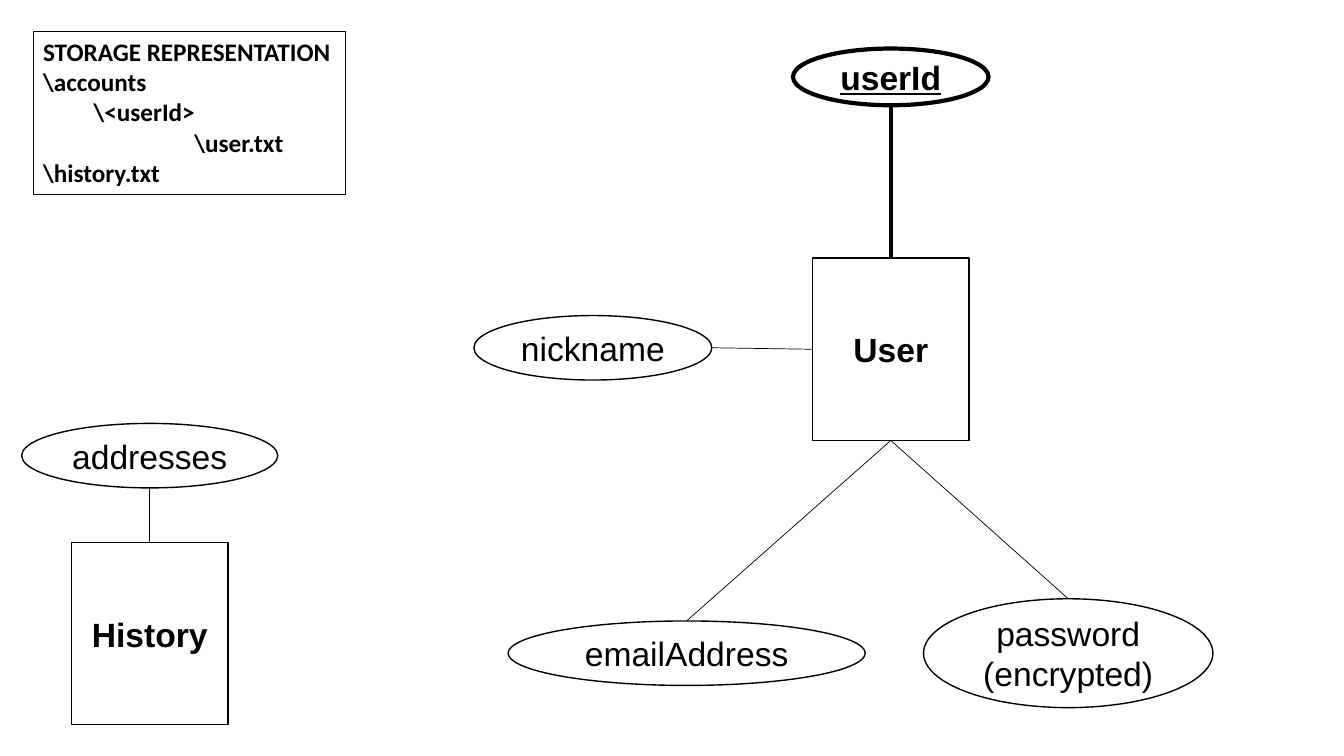
from typing import NamedTuple

import pptx
import pptx.dml.color
import pptx.enum.shapes
import pptx.enum.text
import pptx.oxml
import pptx.util

WIDE = pptx.util.Inches(13.33)
HIGH = pptx.util.Inches(7.5)
HUES = {"ink": "000000", "paper": "FFFFFF"}
KINDS = pptx.enum.shapes.MSO_SHAPE
SIDES = {"top": (0, -0.5), "bottom": (0, 0.5), "left": (-0.5, 0), "right": (0.5, 0)}


class Node(NamedTuple):
    """Entity or field: centre and size as percent of the slide."""
    text: str
    mid: float
    row: float
    wide: float
    high: float
    entity: bool = False
    key: bool = False


class Link(NamedTuple):
    """Line between named sides of two nodes."""
    head: str
    start: str
    tail: str
    end: str
    weight: float = 0.5


class Entry(NamedTuple):
    """Line of the storage tree with its indent level."""
    text: str
    level: int = 0


BOX = (11.63, 24.13)
LOW = 8.53
USER, PAST = 66.28, 11.14
NODES = {
    "user": Node("User", USER, 46.2, *BOX, entity=True),
    "past": Node("History", PAST, 83.8, *BOX, entity=True),
    "id": Node("userId", USER, 10.17, 14.55, 7.5, key=True),
    "nick": Node("nickname", 44.11, 46, 17.7, LOW),
    "email": Node("emailAddress", 51.09, 86.4, 26.56, LOW),
    "pass": Node("password (encrypted)", 79.48, 86.4, 21.53, 14.4),
    "addr": Node("addresses", PAST, 60.27, 19.05, LOW),
}
LINKS = [
    Link("user", "top", "id", "bottom", 3),
    Link("user", "left", "nick", "right"),
    Link("user", "bottom", "email", "top"),
    Link("user", "bottom", "pass", "top"),
    Link("past", "top", "addr", "bottom"),
]
STORE = Node("", 14.1, 14.93, 23.26, 21.6)
TREE = [
    Entry("STORAGE REPRESENTATION"),
    Entry("\\accounts"),
    Entry("\\<userId>", 1),
    Entry("\\user.txt", 3),
    Entry("\\history.txt"),
]


def hue(name: str) -> pptx.dml.color.RGBColor:
    """Look up a colour."""
    return pptx.dml.color.RGBColor.from_string(HUES[name])


def spot(node: Node, right: float, down: float) -> tuple[int, int]:
    """Find a point offset from a node's centre by shares of its size."""
    return (round((node.mid + right * node.wide) / 100 * WIDE),
            round((node.row + down * node.high) / 100 * HIGH))


def frame(node: Node) -> tuple[int, int, int, int]:
    """Give left, top, width and height of a node."""
    return (*spot(node, -0.5, -0.5),
            round(node.wide / 100 * WIDE), round(node.high / 100 * HIGH))


def ink(line, weight: float) -> None:
    """Set colour and weight of a line."""
    line.color.rgb = hue("ink")
    line.width = pptx.util.Pt(weight)


def style(font, face: str, size: int, bold: bool) -> None:
    """Set the font of a paragraph."""
    font.name, font.size, font.bold = face, pptx.util.Pt(size), bold
    font.color.rgb = hue("ink")


def draw(slide, node: Node) -> None:
    """Draw an entity box or a field oval."""
    kind = KINDS.RECTANGLE if node.entity else KINDS.OVAL
    shape = slide.shapes.add_shape(kind, *frame(node))
    shape.shadow.inherit = False
    shape.fill.solid()
    shape.fill.fore_color.rgb = hue("paper")
    ink(shape.line, 3 if node.key else 1)
    text = shape.text_frame
    text.text = node.text
    text.word_wrap = True
    text.vertical_anchor = pptx.enum.text.MSO_ANCHOR.MIDDLE
    para = text.paragraphs[0]
    para.alignment = pptx.enum.text.PP_ALIGN.CENTER
    style(para.font, "Arial", 24, node.entity or node.key)
    if node.key:
        para.runs[0].font.underline = True


def join(slide, link: Link) -> None:
    """Draw a line from one node to another."""
    start = spot(NODES[link.head], *SIDES[link.start])
    end = spot(NODES[link.tail], *SIDES[link.end])
    line = slide.shapes.add_connector(
        pptx.enum.shapes.MSO_CONNECTOR.STRAIGHT, *start, *end)
    ink(line.line, link.weight)
    line._element.spPr.append(pptx.oxml.parse_xml(
        '<a:effectLst xmlns:a="http://schemas.openxmlformats.org/drawingml/2006/main"/>'))


def tree(slide) -> None:
    """Write the storage tree in its frame."""
    box = slide.shapes.add_textbox(*frame(STORE))
    ink(box.line, 0.75)
    text = box.text_frame
    text.word_wrap = True
    text.auto_size = pptx.enum.text.MSO_AUTO_SIZE.SHAPE_TO_FIT_TEXT
    text.text = "\n".join(entry.text for entry in TREE)
    for para, entry in zip(text.paragraphs, TREE):
        para.level = entry.level
        style(para.font, "Calibri", 18, True)


def main() -> None:
    """Build and save the slide."""
    deck = pptx.Presentation()
    deck.slide_width, deck.slide_height = WIDE, HIGH
    slide = deck.slides.add_slide(deck.slide_layouts[6])
    for node in NODES.values():
        draw(slide, node)
    for link in LINKS:
        join(slide, link)
    tree(slide)
    deck.save("out.pptx")


main()
